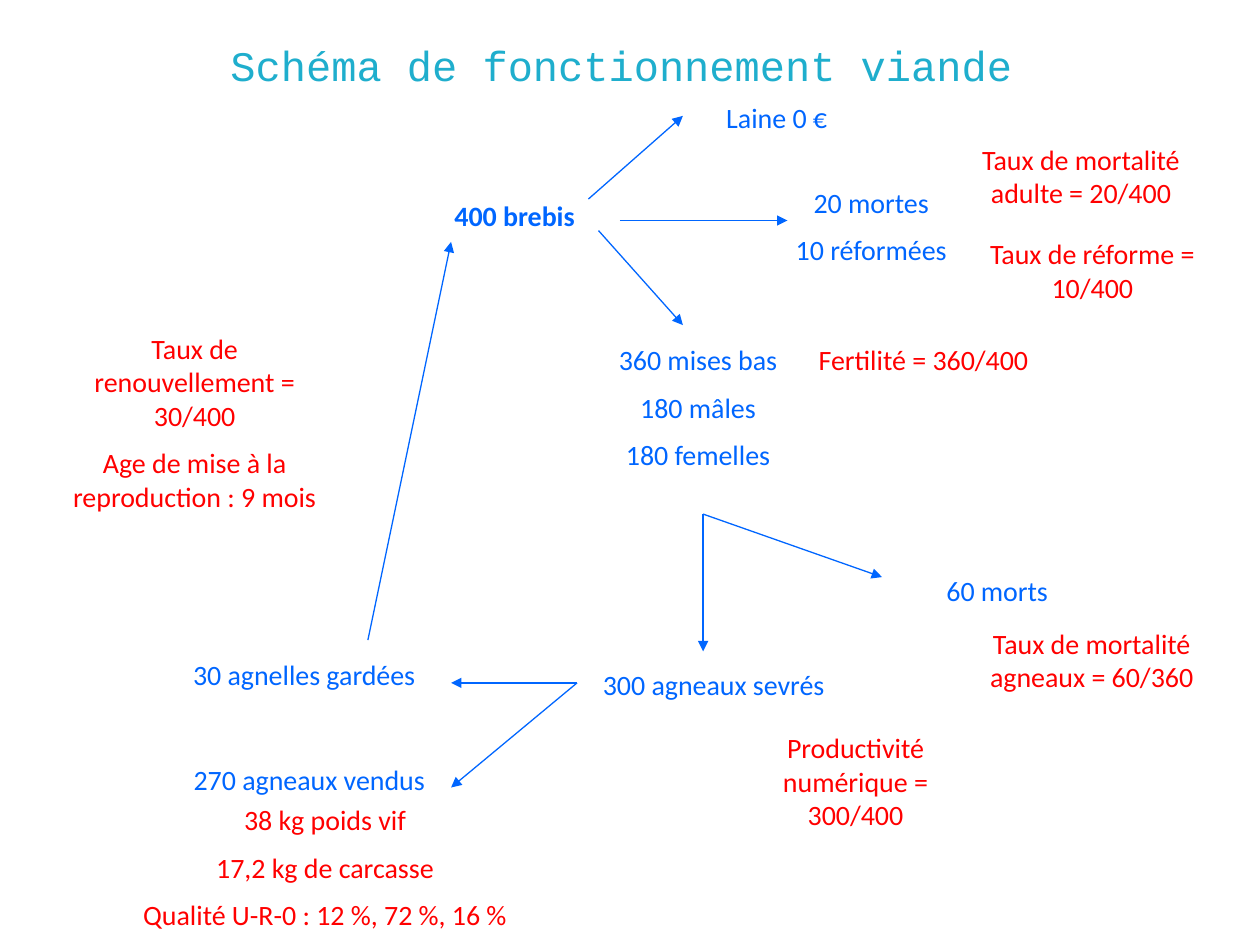
"""Build the slide showing how a meat sheep flock works."""
import pptx
import pptx.chart.data
import pptx.dml.color
import pptx.enum.shapes
import pptx.enum.text
import pptx.oxml
import pptx.util
import lxml.etree

Inches = pptx.util.Inches
Pt = pptx.util.Pt
Fit = pptx.enum.text.MSO_AUTO_SIZE
Anchor = pptx.enum.text.MSO_ANCHOR

THEME = {
    "title": "1FAECD", "flow": "0066FF", "rate": "FF0000",
    "font": "Calibri", "mono": "Courier New",
    "size": 16, "head": 24, "gap": 8, "line": 0.75,
}

TITLE = ("Schéma de fonctionnement viande", (0.43, 0.13, 9, 0.77))

HERD = ("400 brebis", (2.17, 1.53, 3.83, 0.37))

FLOWS = [
    ("Laine 0 €", (5.5, 0.75, 1.33, 0.37)),
    ("20 mortes\n10 réformées", (6, 1.42, 1.83, 0.77)),
    ("360 mises bas\n180 mâles\n180 femelles", (3, 2.67, 5.08, 1.97)),
    ("60 morts", (6.5, 4.5, 2.83, 0.37)),
    ("300 agneaux sevrés", (4.58, 5.25, 2.17, 0.37)),
    ("30 agnelles gardées", (1, 5.17, 2.83, 0.37)),
    ("270 agneaux vendus", (1.08, 6, 2.75, 0.37)),
]

RATES = [
    ("Taux de mortalité adulte = 20/400", (7.58, 1.08, 2, 0.64)),
    ("Taux de réforme = 10/400", (7.67, 1.83, 2, 0.64)),
    ("Fertilité = 360/400", (6.33, 2.67, 2, 0.37)),
    ("Taux de mortalité agneaux = 60/360", (7.5, 4.92, 2.33, 0.64)),
    ("Productivité numérique = 300/400", (6, 5.75, 1.58, 0.9)),
    ("Taux de renouvellement = 30/400\nAge de mise à la reproduction : 9 mois",
     (0.42, 2.58, 2.25, 1.58)),
    ("38 kg poids vif\n17,2 kg de carcasse\nQualité U-R-0 : 12 %, 72 %, 16 %",
     (0.83, 6.32, 3.5, 1.18)),
]

ARROWS = [
    ((4.67, 1.58), (5.42, 0.92)),
    ((4.92, 1.75), (6.25, 1.75)),
    ((4.75, 1.83), (5.42, 2.58)),
    ((5.58, 4.08), (5.58, 5.17)),
    ((5.58, 4.08), (7, 4.58)),
    ((4.58, 5.42), (3.58, 5.42)),
    ((4.58, 5.42), (3.58, 6.25)),
    ((2.92, 5.08), (3.58, 1.92)),
]


def paint(name):
    return pptx.dml.color.RGBColor.from_string(THEME[name])


def write(slide, text, place, color="flow", font="font", size="size",
          bold=False, fit=Fit.SHAPE_TO_FIT_TEXT, anchor=Anchor.TOP):
    frame = slide.shapes.add_textbox(*map(Inches, place)).text_frame
    frame.word_wrap = True
    frame.auto_size = fit
    frame.vertical_anchor = anchor
    frame.text = text
    for rank, para in enumerate(frame.paragraphs):
        para.alignment = pptx.enum.text.PP_ALIGN.CENTER
        if rank:
            para.space_before = Pt(THEME["gap"])
        para.font.name = THEME[font]
        para.font.size = Pt(THEME[size])
        para.font.bold = bold
        para.font.color.rgb = paint(color)


def link(slide, start, end):
    kind = pptx.enum.shapes.MSO_CONNECTOR.STRAIGHT
    arrow = slide.shapes.add_connector(kind, *map(Inches, start + end))
    arrow.line.color.rgb = paint("flow")
    arrow.line.width = Pt(THEME["line"])
    tag = pptx.oxml.ns.qn
    tip = lxml.etree.SubElement(arrow.line._get_or_add_ln(), tag("a:tailEnd"))
    tip.set("type", "triangle")
    lxml.etree.SubElement(arrow._element.spPr, tag("a:effectLst"))


def main():
    deck = pptx.Presentation()
    deck.slide_width, deck.slide_height = Inches(10), Inches(7.5)
    slide = deck.slides.add_slide(deck.slide_layouts[6])
    write(slide, *TITLE, color="title", font="mono", size="head",
          fit=Fit.NONE, anchor=Anchor.MIDDLE)
    write(slide, *HERD, bold=True)
    for color, notes in (("flow", FLOWS), ("rate", RATES)):
        for text, place in notes:
            write(slide, text, place, color=color)
    for start, end in ARROWS:
        link(slide, start, end)
    deck.save("out.pptx")


if __name__ == "__main__":
    main()
